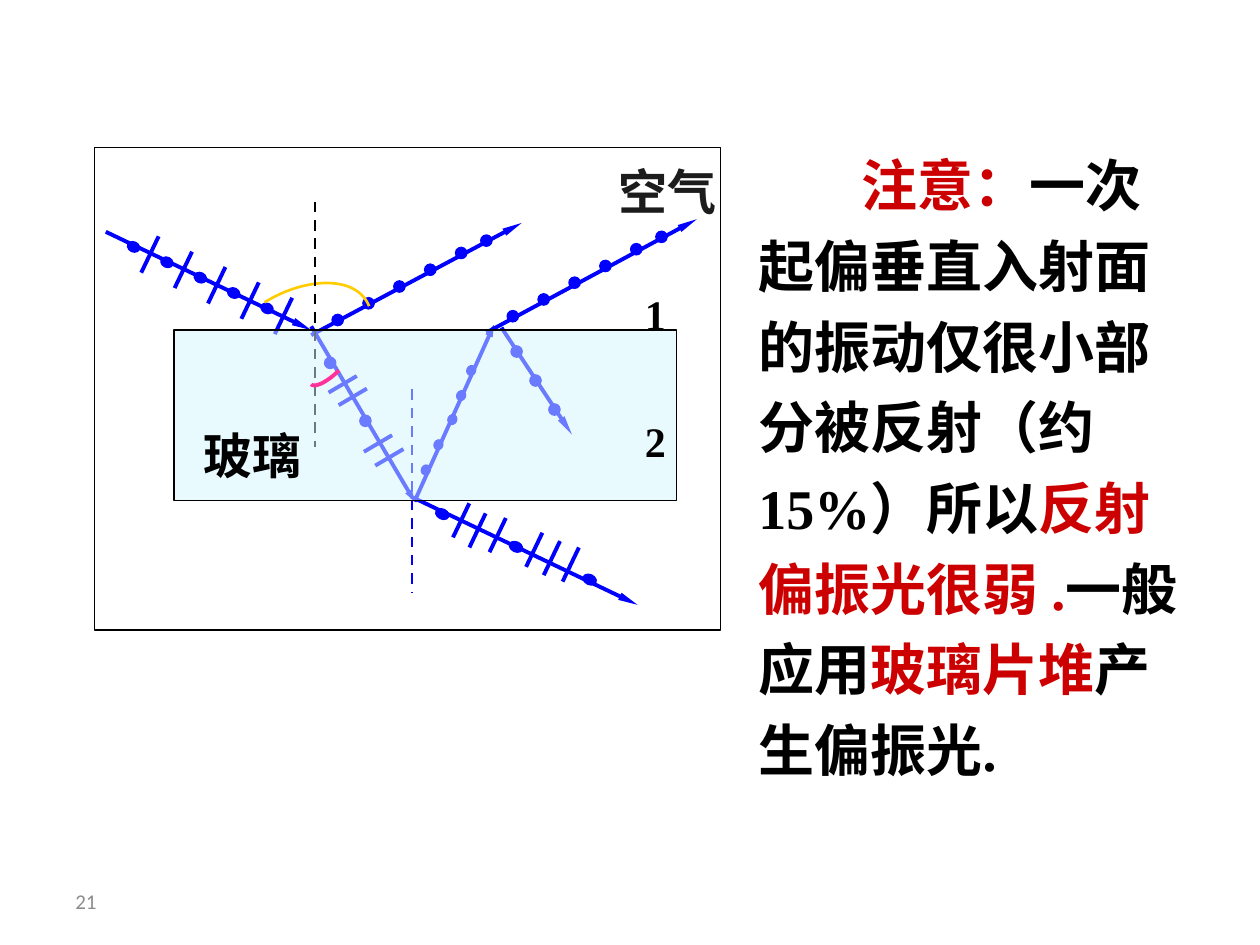
import math
from dataclasses import dataclass

import pptx
import pptx.dml.color
import pptx.enum.dml
import pptx.enum.shapes
import pptx.enum.text
import pptx.oxml.ns
import pptx.util
from lxml import etree
from pptx.util import Inches

COLORS = {
    "black": "000000", "white": "FFFFFF", "blue": "0000FF", "red": "CC0000",
    "glass": "D5F7FF", "yellow": "FFCC00", "pink": "FF3399",
    "air": "1C1C1C", "gray": "8C8C8C",
}
SERIF = "Times New Roman"
Point = tuple[float, float]


@dataclass
class Beam:
    """A light ray; dots and ticks are the centres of its vibration marks."""
    start: Point
    end: Point
    dots: list[Point]
    ticks: list[Point]
    tick_half: float = 0.15
    dot_size: Point = (0.09, 0.09)
    head_length: str = "lg"


@dataclass
class Label:
    runs: list[tuple[str, str]]
    left: float
    top: float
    width: float
    height: float
    size: float
    font: str = SERIF
    bold: bool = True
    wrap: bool = True
    indent: float = 0
    spacing: float = 1.0
    anchor: pptx.enum.text.MSO_ANCHOR = pptx.enum.text.MSO_ANCHOR.TOP


def rgb(name: str) -> pptx.dml.color.RGBColor:
    return pptx.dml.color.RGBColor.from_string(COLORS[name])


def row(first: Point, step: Point, count: int) -> list[Point]:
    """Evenly spaced points."""
    return [(first[0] + i * step[0], first[1] + i * step[1]) for i in range(count)]


def shift(points: list[Point], dx: float, dy: float) -> list[Point]:
    return [(x + dx, y + dy) for x, y in points]


def add_line(s, start: Point, end: Point, color: str, width: float,
             dashed: bool = False, head_length: str = "") -> None:
    c = s.shapes.add_connector(pptx.enum.shapes.MSO_CONNECTOR.STRAIGHT,
                               *(Inches(v) for v in (*start, *end)))
    c.line.color.rgb = rgb(color)
    c.line.width = pptx.util.Pt(width)
    if dashed:
        c.line.dash_style = pptx.enum.dml.MSO_LINE.DASH
    if head_length:
        etree.SubElement(c.line._get_or_add_ln(), pptx.oxml.ns.qn("a:tailEnd"),
                         type="triangle", w="sm", len=head_length)
    etree.SubElement(c._element.spPr, pptx.oxml.ns.qn("a:effectLst"))


def add_shape(s, kind, left: float, top: float, width: float, height: float,
              fill: str, line: str):
    sp = s.shapes.add_shape(kind, *(Inches(v) for v in (left, top, width, height)))
    sp.shadow.inherit = False
    sp.fill.solid()
    sp.fill.fore_color.rgb = rgb(fill)
    sp.line.color.rgb = rgb(line)
    sp.line.width = pptx.util.Pt(0.75)
    return sp


def add_beam(s, beam: Beam) -> None:
    add_line(s, beam.start, beam.end, "blue", 2.25, head_length=beam.head_length)
    angle = math.atan2(beam.end[1] - beam.start[1], beam.end[0] - beam.start[0])
    dx, dy = beam.tick_half * math.sin(angle), -beam.tick_half * math.cos(angle)
    for x, y in beam.ticks:
        add_line(s, (x + dx, y + dy), (x - dx, y - dy), "blue", 2.25)
    w, h = beam.dot_size
    for x, y in beam.dots:
        dot = add_shape(s, pptx.enum.shapes.MSO_SHAPE.OVAL,
                        x - w / 2, y - h / 2, w, h, "blue", "blue")
        dot.rotation = math.degrees(angle)


def add_arc(s, controls: list[Point], color: str, width: float) -> None:
    """Draw a cubic Bezier curve as a fine open outline."""
    steps = 32
    points = []
    for i in range(steps + 1):
        t = i / steps
        weights = [math.comb(3, k) * t**k * (1 - t) ** (3 - k) for k in range(4)]
        points.append(tuple(Inches(sum(w * c[axis] for w, c in zip(weights, controls)))
                            for axis in (0, 1)))
    builder = s.shapes.build_freeform(*points[0])
    builder.add_line_segments(points[1:], close=False)
    sp = builder.convert_to_shape()
    sp.shadow.inherit = False
    sp.fill.background()
    sp.line.color.rgb = rgb(color)
    sp.line.width = pptx.util.Pt(width)


def add_label(s, label: Label) -> None:
    box = s.shapes.add_textbox(Inches(label.left), Inches(label.top),
                               Inches(label.width), Inches(label.height))
    tf = box.text_frame
    tf.word_wrap = label.wrap
    tf.vertical_anchor = label.anchor
    p = tf.paragraphs[0]
    p.line_spacing = label.spacing
    if label.indent:
        p._p.get_or_add_pPr().set("indent", str(Inches(label.indent)))
    p.font.name = label.font
    p.font.size = pptx.util.Pt(label.size)
    p.font.bold = label.bold
    for text, color in label.runs:
        r = p.add_run()
        r.text = text
        r.font.color.rgb = rgb(color)


REFLECTED_DOTS = row((2.68, 2.54), (0.245, -0.133), 5) + [(3.86, 1.91)]
BEAMS = [
    Beam((0.84, 1.84), (2.47, 2.62), row((1.06, 1.96), (0.265, 0.122), 5),
         row((1.19, 2.02), (0.265, 0.122), 5), 0.16, (0.1, 0.08)),
    Beam((2.47, 2.59), (3.29, 3.98), [(2.62, 2.88), (2.9, 3.34)],
         [(2.72, 3.05), (2.8, 3.15), (3, 3.52), (3.09, 3.63)], 0.13,
         head_length="med"),
    Beam((2.47, 2.66), (4.14, 1.77), REFLECTED_DOTS, []),
    Beam((3.29, 3.98), (3.92, 2.58),
         [(3.38, 3.73), (3.48, 3.53), (3.59, 3.33), (3.66, 3.14), (3.74, 2.94)], [],
         dot_size=(0.08, 0.07), head_length="med"),
    Beam((3.26, 3.94), (5.06, 4.8), row((3.51, 4.08), (0.585, 0.26), 3),
         row((3.66, 4.13), (0.29, 0.117), 4) + [(3.79, 4.21), (4.38, 4.43)],
         dot_size=(0.11, 0.08)),
    Beam((3.86, 2.64), (5.53, 1.74), shift(REFLECTED_DOTS, 1.39, -0.03), []),
    Beam((3.98, 2.6), (4.54, 3.45), row((4.1, 2.79), (0.15, 0.23), 3), []),
]
AIR_LABELS = [
    Label([("1", "black")], 5.02, 2.24, 0.37, 0.5, 24, wrap=False),
    Label([("空气", "air")], 4.81, 1.23, 1.19, 0.57, 28),
]
FRONT_LABELS = [
    Label([("玻璃", "black")], 1.52, 3.33, 1.05, 0.57, 28),
    Label([("2", "black")], 5.02, 3.25, 0.37, 0.5, 24, wrap=False),
    Label([("注意：", "red"),
           ("一次起偏垂直入射面的振动仅很小部分被反射（约15%）所以", "black"),
           ("反射偏振光很弱 .", "red"), ("一般应用", "black"),
           ("玻璃片堆", "red"), ("产生偏振光.", "black")],
          5.92, 1.04, 3.58, 5.21, 32, indent=0.82, spacing=1.2),
    Label([("21", "gray")], 0.5, 6.95, 2.33, 0.4, 12, "Calibri", bold=False,
          anchor=pptx.enum.text.MSO_ANCHOR.MIDDLE),
]


def main() -> None:
    prs = pptx.Presentation()
    prs.slide_width, prs.slide_height = Inches(10), Inches(7.5)
    s = prs.slides.add_slide(prs.slide_layouts[6])
    rect = pptx.enum.shapes.MSO_SHAPE.RECTANGLE

    add_shape(s, rect, 0.75, 1.17, 4.97, 3.83, "white", "black")
    for beam in BEAMS:
        add_beam(s, beam)
    add_arc(s, [(2.1, 2.4), (2.42, 2.2), (2.83, 2.18), (2.93, 2.43)], "yellow", 1.5)
    add_line(s, (2.5, 1.6), (2.5, 3.55), "black", 1.5, dashed=True)
    add_line(s, (3.27, 3.09), (3.27, 4.71), "blue", 1.5, dashed=True)
    for label in AIR_LABELS:
        add_label(s, label)

    glass = add_shape(s, rect, 1.38, 2.62, 3.99, 1.35, "glass", "black")
    color = glass._element.spPr.find(".//" + pptx.oxml.ns.qn("a:srgbClr"))
    etree.SubElement(color, pptx.oxml.ns.qn("a:alpha"), val="50000")

    add_arc(s, [(2.47, 3.05), (2.5, 3.08), (2.6, 3.03), (2.69, 2.94)], "pink", 2.25)
    for label in FRONT_LABELS:
        add_label(s, label)
    prs.save("out.pptx")


if __name__ == "__main__":
    main()
